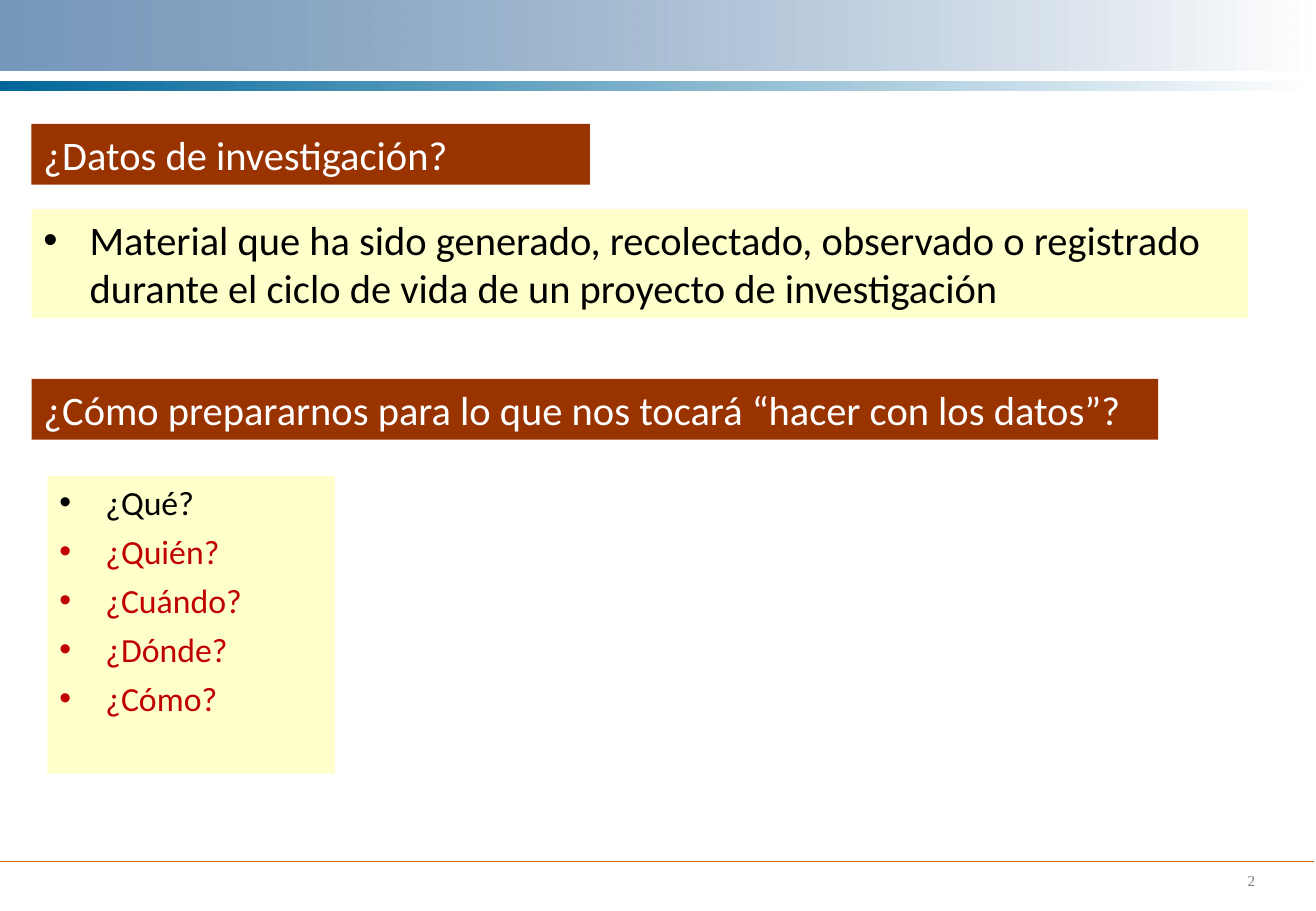
import pptx
import pptx.util
import pptx.dml.color
import pptx.enum.shapes
import pptx.enum.text
import pptx.oxml
import pptx.oxml.ns
from lxml import etree

Inches = pptx.util.Inches
Pt = pptx.util.Pt
qn = pptx.oxml.ns.qn


def rgb(hex_colour):
    return pptx.dml.color.RGBColor.from_string(hex_colour)


def add_panel(left, top, width, height, fill, size, lines, bulleted=False):
    """Add a filled rectangle holding (text, colour) lines."""
    panel = slide.shapes.add_shape(
        pptx.enum.shapes.MSO_SHAPE.RECTANGLE,
        Inches(left), Inches(top), Inches(width), Inches(height))
    panel.shadow.inherit = False
    panel.fill.solid()
    panel.fill.fore_color.rgb = rgb(fill)
    panel.line.fill.background()
    frame = panel.text_frame
    frame.word_wrap = True
    frame.vertical_anchor = pptx.enum.text.MSO_ANCHOR.TOP
    for index, (text, colour) in enumerate(lines):
        paragraph = frame.paragraphs[0] if index == 0 else frame.add_paragraph()
        paragraph.alignment = pptx.enum.text.PP_ALIGN.LEFT
        if index:
            paragraph.space_before = Pt(5)
        if bulleted:
            properties = paragraph._p.get_or_add_pPr()
            properties.set("marL", str(Inches(0.38)))
            properties.set("indent", str(Inches(-0.38)))
            bullet_colour = etree.SubElement(properties, qn("a:buClr"))
            etree.SubElement(bullet_colour, qn("a:srgbClr"), val=colour)
            etree.SubElement(properties, qn("a:buFont"), typeface="Arial")
            etree.SubElement(properties, qn("a:buChar"), char="•")
        run = paragraph.add_run()
        run.text = text
        run.font.name = "Calibri"
        run.font.size = Pt(size)
        run.font.color.rgb = rgb(colour)


presentation = pptx.Presentation()
presentation.slide_width = Inches(10.84)
presentation.slide_height = Inches(7.5)
slide = presentation.slides.add_slide(presentation.slide_layouts[6])

# Header bands fading to white
for left, top, width, height, colour, opacity in [
        (-0.01, 0, 10.82, 0.58, "336699", 67),
        (0, 0.67, 10.83, 0.08, "006699", 100)]:
    band = slide.shapes.add_shape(
        pptx.enum.shapes.MSO_SHAPE.RECTANGLE,
        Inches(left), Inches(top), Inches(width), Inches(height))
    band.shadow.inherit = False
    band.line.fill.background()
    band.fill.gradient()
    band.fill.gradient_angle = 0
    for stop, stop_colour in zip(band.fill.gradient_stops, (colour, "FFFFFF")):
        stop.color.rgb = rgb(stop_colour)
    if opacity < 100:
        start_colour = next(band._element.iter(qn("a:srgbClr")))
        etree.SubElement(start_colour, qn("a:alpha"), val=str(opacity * 1000))

# Footer rule and page number
footer_rule = slide.shapes.add_connector(
    pptx.enum.shapes.MSO_CONNECTOR.STRAIGHT,
    Inches(-0.01), Inches(7.09), Inches(10.82), Inches(7.09))
footer_rule.line.color.rgb = rgb("CC6600")
footer_rule.line.width = Pt(0.75)
etree.SubElement(footer_rule._element.spPr, qn("a:effectLst"))

page_number = slide.shapes.add_textbox(
    Inches(10.18), Inches(7.12), Inches(0.64), Inches(0.25))
page_number.text_frame.word_wrap = True
number_run = page_number.text_frame.paragraphs[0].add_run()
number_run.text = "2"
number_run.font.name = "Times New Roman"
number_run.font.size = Pt(9)
number_run.font.color.rgb = rgb("808080")

# Definition
add_panel(0.26, 1.72, 10.02, 0.9, "FFFFCC", 24, [
    ("Material que ha sido generado, recolectado, observado o registrado "
     "durante el ciclo de vida de un proyecto de investigación", "000000")],
    bulleted=True)

# Headings
for top, width, heading in [
        (1.02, 4.6, "¿Datos de investigación?"),
        (3.12, 9.28, "¿Cómo prepararnos para lo que nos tocará “hacer con los datos”?")]:
    add_panel(0.26, top, width, 0.5, "993300", 24, [(heading, "FFFFFF")])

# Questions
add_panel(0.39, 3.92, 2.37, 2.45, "FFFFCC", 20, [
    ("¿Qué?", "000000"),
    ("¿Quién?", "C00000"),
    ("¿Cuándo?", "C00000"),
    ("¿Dónde?", "C00000"),
    ("¿Cómo?", "C00000")], bulleted=True)

presentation.save("out.pptx")
